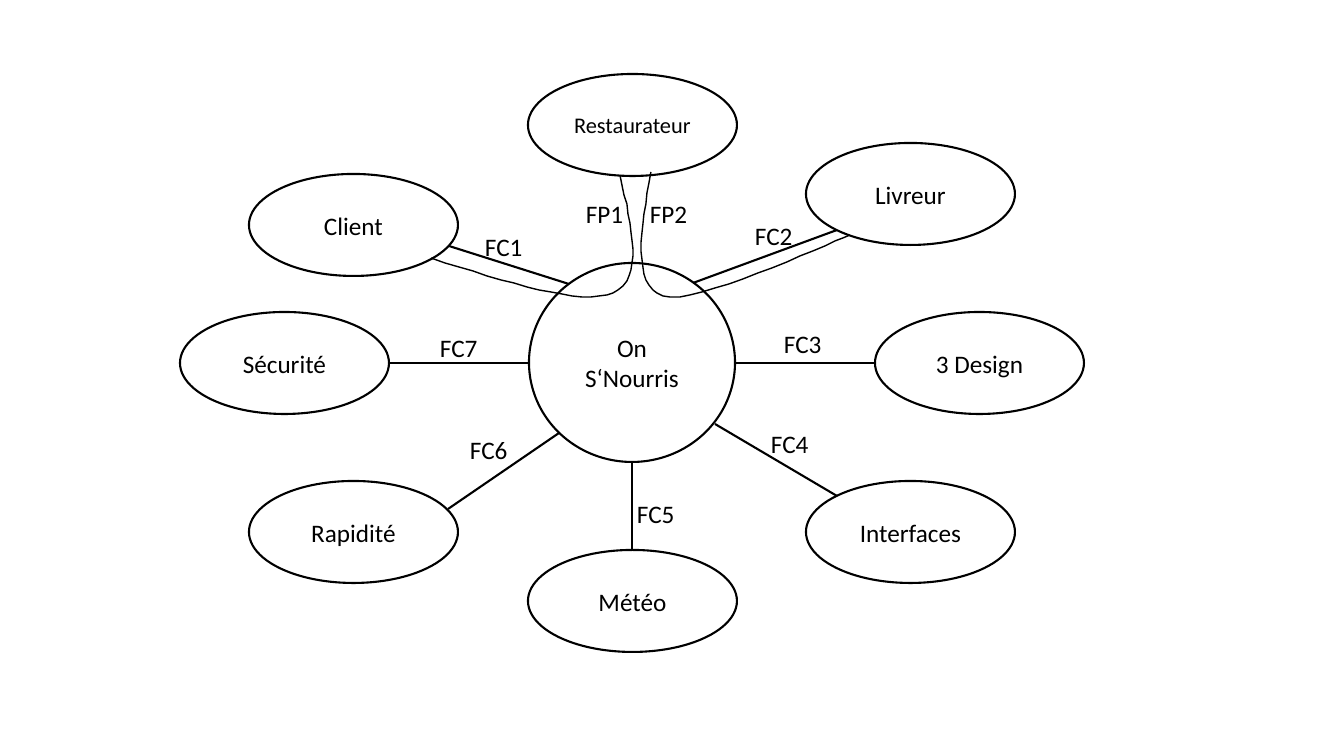
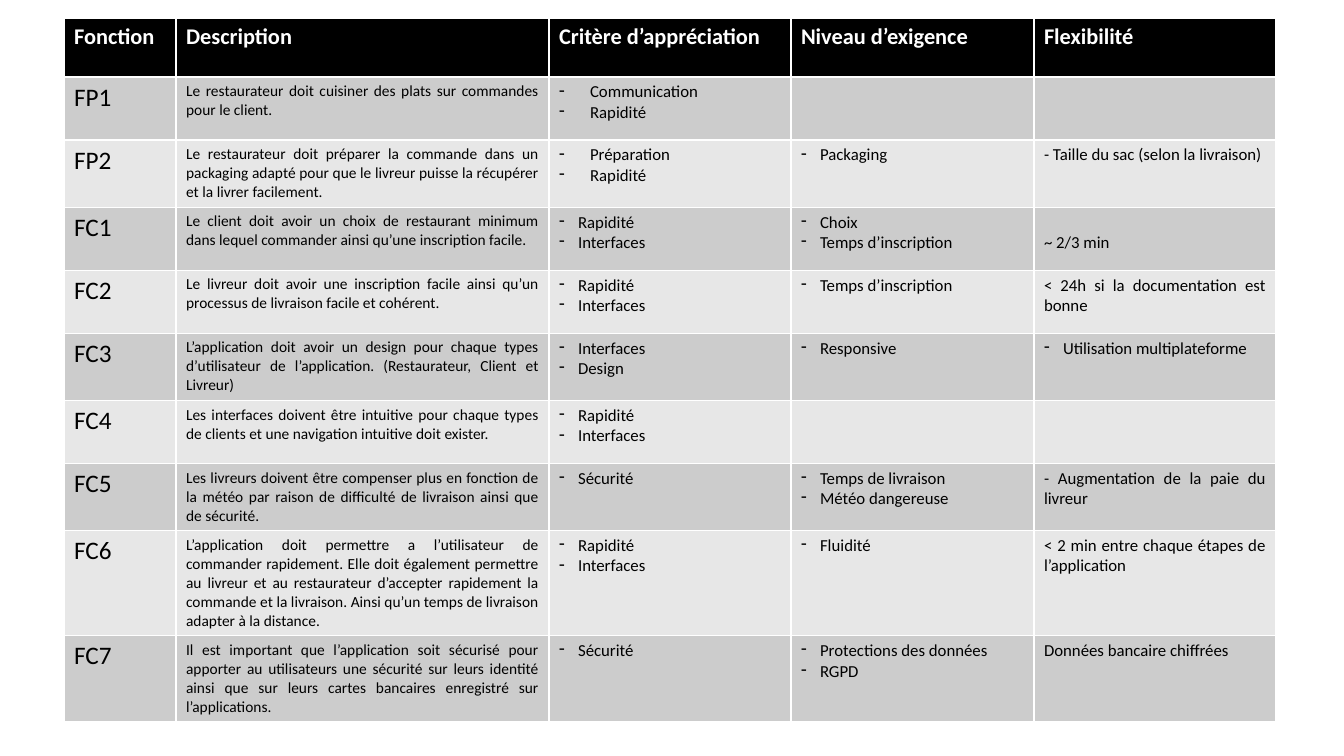
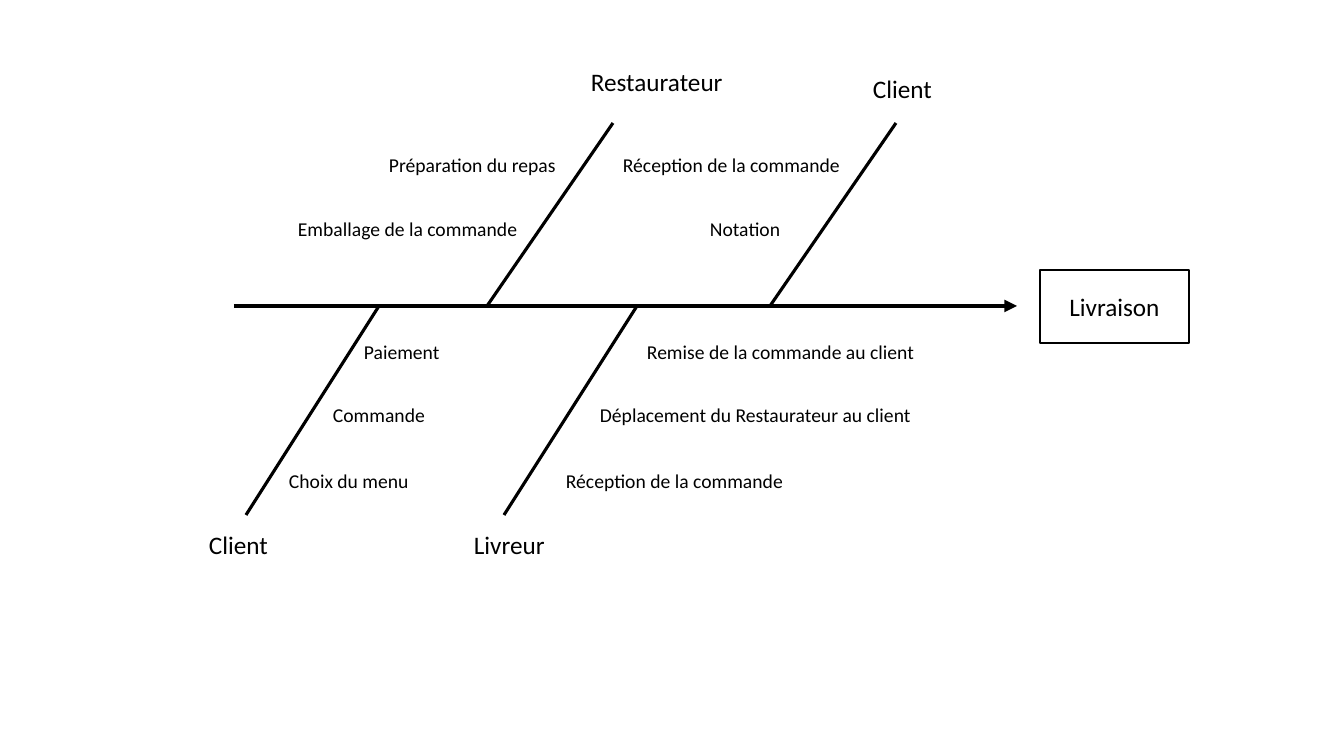
from lxml import etree
from pptx import Presentation
from pptx import util as u
from pptx.dml.color import RGBColor
from pptx.enum import shapes, text
from pptx.oxml.ns import qn

# Shared look
PX = 9071  # EMU in one pixel
FONT, BLACK, WHITE = "Calibri", "000000", "FFFFFF"
BANDS = ["CCCCCC", "E7E7E7"]
color = RGBColor.from_string

deck = Presentation()
deck.slide_width, deck.slide_height = 1344 * PX, 756 * PX
functions, requirements, fishbone = [
    deck.slides.add_slide(deck.slide_layouts[6]) for _ in range(3)]


def put(slide, words, x, y, w, h, size=18, outline=None, weight=1):
    """Place words in an outlined shape, or as a plain label."""
    area = [n * PX for n in (x, y, w, h)]
    if outline is None:
        holder = slide.shapes.add_textbox(*area)
    else:
        holder = slide.shapes.add_shape(outline, *area)
        holder.shadow.inherit = False
        holder.fill.background()
        holder.line.color.rgb = color(BLACK)
        holder.line.width = u.Pt(weight)
    frame = holder.text_frame
    frame.text = words
    frame.word_wrap = outline is not None
    paragraph = frame.paragraphs[0]
    if outline is None:
        frame.auto_size = text.MSO_AUTO_SIZE.SHAPE_TO_FIT_TEXT
    else:
        frame.vertical_anchor = text.MSO_ANCHOR.MIDDLE
        paragraph.alignment = text.PP_ALIGN.CENTER
    paragraph.font.name, paragraph.font.size = FONT, u.Pt(size)
    paragraph.font.color.rgb = color(BLACK)


def connect(slide, x1, y1, x2, y2, weight, arrow=False):
    link = slide.shapes.add_connector(
        shapes.MSO_CONNECTOR.STRAIGHT, x1 * PX, y1 * PX, x2 * PX, y2 * PX)
    link.line.color.rgb = color(BLACK)
    link.line.width = u.Pt(weight)
    properties = link._element.spPr
    if arrow:
        etree.SubElement(properties.find(qn("a:ln")), qn("a:tailEnd"), type="triangle")
    etree.SubElement(properties, qn("a:effectLst"))


# Slide 1: the system and its surroundings
OVAL = shapes.MSO_SHAPE.OVAL
put(functions, "On S‘Nourris", 529, 263, 206, 199, outline=OVAL, weight=1.5)
for actor, x, y, size in [
        ("Livreur", 806, 143, 18), ("3 Design", 875, 312, 18),
        ("Interfaces", 806, 481, 18), ("Météo", 528, 550, 18),
        ("Restaurateur", 528, 74, 16), ("Sécurité", 180, 312, 18),
        ("Client", 249, 174, 18), ("Rapidité", 249, 481, 18)]:
    put(functions, actor, x, y, 209, 102, size, OVAL, 1.5)

# Main functions: curves through the system, two cubic arcs each
STEPS = 16
for start, *arcs in [
        [(651, 172), [(641, 229), (631, 285), (663, 296)],
         [(697, 306), (820, 246), (850, 235)]],
        [(620, 175), [(632, 228), (645, 279), (613, 293)],
         [(582, 307), (507, 282), (431, 258)]]]:
    outline = functions.shapes.build_freeform(*start, scale=PX)
    points = []
    for arc in arcs:
        for step in range(1, STEPS + 1):
            t = step / STEPS
            shares = (1 - t) ** 3, 3 * t * (1 - t) ** 2, 3 * t * t * (1 - t), t ** 3
            points.append([sum(s * p[axis] for s, p in zip(shares, [start, *arc]))
                           for axis in (0, 1)])
        start = arc[-1]
    outline.add_line_segments(points, close=False)
    curve = outline.convert_to_shape()
    curve.shadow.inherit = False
    curve.fill.background()
    curve.line.color.rgb = color(BLACK)
    curve.line.width = u.Pt(1)

# Constraint functions: straight links
for ends in [
        (449, 246, 569, 284), (837, 230, 693, 283), (389, 363, 529, 363),
        (448, 509, 559, 433), (632, 550, 632, 462), (837, 496, 715, 424),
        (875, 363, 735, 363)]:
    connect(functions, *ends, 1.5)

for code, x, y in [
        ("FP1", 576, 193), ("FP2", 640, 193), ("FC1", 475, 226),
        ("FC2", 745, 215), ("FC3", 774, 323), ("FC6", 460, 429),
        ("FC5", 627, 493), ("FC4", 761, 423), ("FC7", 430, 327)]:
    put(functions, code, x, y, 58, 40)

# Slide 2: requirements table; a list is bulleted, a string is plain
rows = [
    ("Fonction", "Description", "Critère d’appréciation", "Niveau d’exigence",
     "Flexibilité"),
    ("FP1", "Le restaurateur doit cuisiner des plats sur commandes pour le client.",
     ["Communication", "Rapidité"], "", ""),
    ("FP2", "Le restaurateur doit préparer la commande dans un packaging adapté pour "
     "que le livreur puisse la récupérer et la livrer facilement.",
     ["Préparation", "Rapidité"], ["Packaging"], "- Taille du sac (selon la livraison)"),
    ("FC1", "Le client doit avoir un choix de restaurant minimum dans lequel commander "
     "ainsi qu’une inscription facile.",
     ["Rapidité", "Interfaces"], ["Choix", "Temps d’inscription"], "~ 2/3 min"),
    ("FC2", "Le livreur doit avoir une inscription facile ainsi qu’un processus de "
     "livraison facile et cohérent.",
     ["Rapidité", "Interfaces"], ["Temps d’inscription"],
     "< 24h si la documentation est bonne"),
    ("FC3", "L’application doit avoir un design pour chaque types d’utilisateur de "
     "l’application. (Restaurateur, Client et Livreur)",
     ["Interfaces", "Design"], ["Responsive"], ["Utilisation multiplateforme"]),
    ("FC4", "Les interfaces doivent être intuitive pour chaque types de clients et une "
     "navigation intuitive doit exister.",
     ["Rapidité", "Interfaces"], "", ""),
    ("FC5", "Les livreurs doivent être compenser plus en fonction de la météo par raison "
     "de difficulté de livraison ainsi que de sécurité.",
     ["Sécurité"], ["Temps de livraison", "Météo dangereuse"],
     "- Augmentation de la paie du livreur"),
    ("FC6", "L’application doit permettre a l’utilisateur de commander rapidement. Elle "
     "doit également permettre au livreur et au restaurateur d’accepter rapidement la "
     "commande et la livraison. Ainsi qu’un temps de livraison adapter à la distance.",
     ["Rapidité", "Interfaces"], ["Fluidité"],
     "< 2 min entre chaque étapes de l’application"),
    ("FC7", "Il est important que l’application soit sécurisé pour apporter au "
     "utilisateurs une sécurité sur leurs identité ainsi que sur leurs cartes bancaires "
     "enregistré sur l’applications.",
     ["Sécurité"], ["Protections des données", "RGPD"], "Données bancaire chiffrées"),
]
widths = [112, 373, 242, 243, 242]
sizes = [18, 11, 12, 12, 12]
table = requirements.shapes.add_table(
    len(rows), len(widths), 64 * PX, 18 * PX, sum(widths) * PX, 626 * PX).table
for column, width in zip(table.columns, widths):
    column.width = width * PX
for r, row in enumerate(rows):
    header = r == 0
    table.rows[r].height = (59 if header else 63) * PX
    for c, content in enumerate(row):
        cell = table.cell(r, c)
        cell.fill.solid()
        cell.fill.fore_color.rgb = color(BLACK if header else BANDS[(r - 1) % 2])
        bulleted = isinstance(content, list)
        cell.text = "\n".join(content) if bulleted else content
        if content == "~ 2/3 min":  # level with the second line beside it
            cell.margin_top = 25 * PX
        for paragraph in cell.text_frame.paragraphs:
            font = paragraph.font
            font.name, font.bold = FONT, header
            font.size = u.Pt(16 if header else sizes[c])
            font.color.rgb = color(WHITE if header else BLACK)
            if not header and c > 0:
                paragraph.alignment = text.PP_ALIGN.JUSTIFY
            if bulleted:
                indent = (31 if row[0].startswith("FP") and c == 2 else 19) * PX
                layout = paragraph._p.get_or_add_pPr()
                layout.set("marL", str(indent))
                layout.set("indent", str(-indent))
                bullet = etree.Element(qn("a:buChar"), char="-")
                layout.insert(0, bullet)

# Slide 3: fishbone leading to the delivery
connect(fishbone, 234, 306, 1017, 306, 3, arrow=True)
for joint in (379, 637):
    connect(fishbone, joint, 306, joint - 133, 515, 2.25)
for joint in (487, 770):
    connect(fishbone, joint, 306, joint + 126, 123, 2.25)
put(fishbone, "Livraison", 1040, 270, 149, 73, outline=shapes.MSO_SHAPE.RECTANGLE)

for actor, x, y, width in [
        ("Client", 199, 524, 80), ("Restaurateur", 581, 61, 153),
        ("Livreur", 464, 524, 92), ("Client", 863, 68, 80)]:
    put(fishbone, actor, x, y, width, 40)

# Tasks, one level of the fishbone per line
for y, tasks in [
        (148, [("Préparation du repas", 379, 190), ("Réception de la commande", 613, 240)]),
        (212, [("Emballage de la commande", 288, 242), ("Notation", 700, 96)]),
        (335, [("Paiement", 354, 97), ("Remise de la commande au client", 637, 290)]),
        (398, [("Commande", 323, 113),
               ("Déplacement du Restaurateur au client", 590, 344)]),
        (464, [("Choix du menu", 279, 141), ("Réception de la commande", 556, 240)])]:
    for task, x, width in tasks:
        put(fishbone, task, x, y, width, 34, 14)

deck.save("out.pptx")
